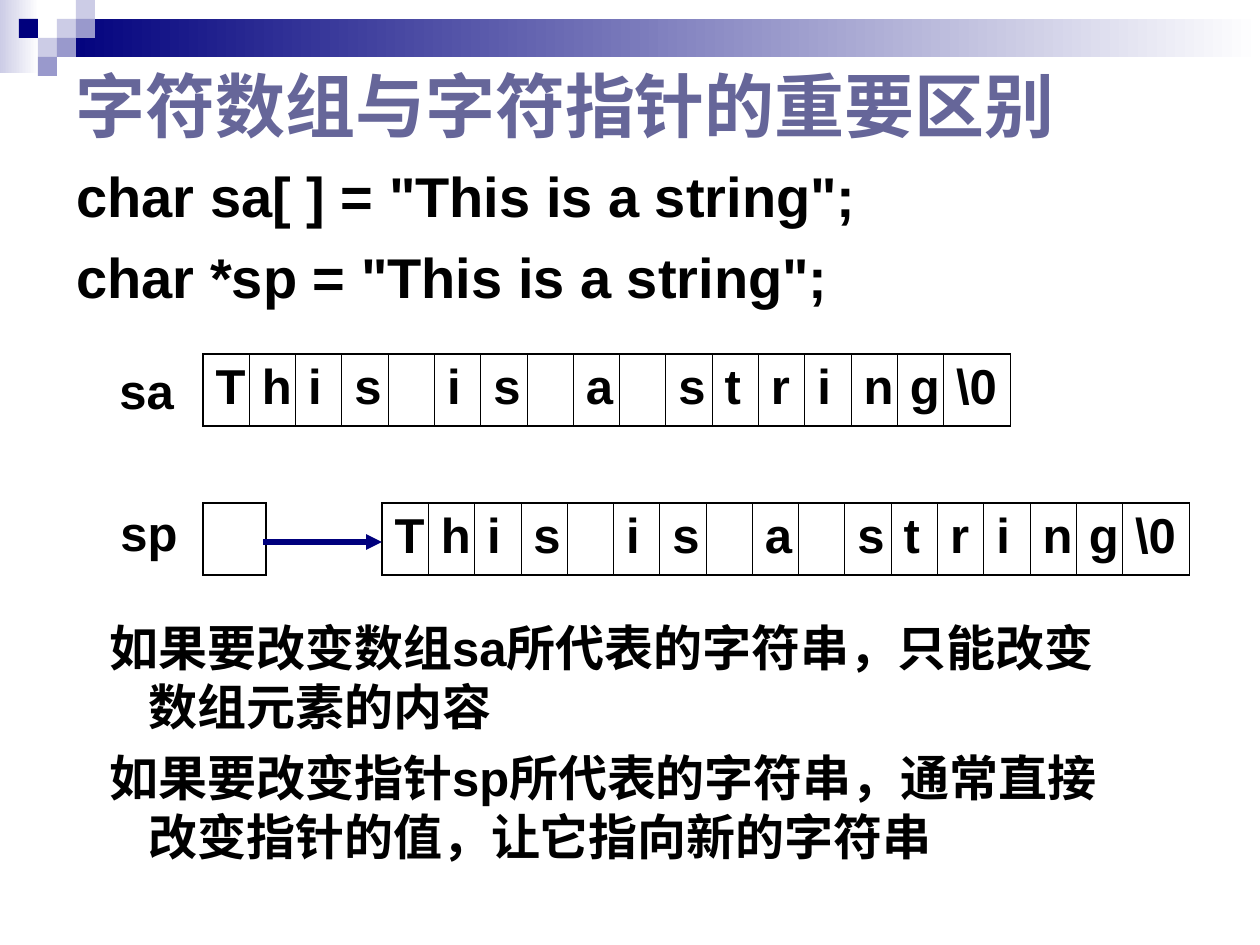
from lxml.etree import SubElement
from pptx import Presentation
from pptx.dml.color import RGBColor
from pptx.enum.shapes import MSO_CONNECTOR as Connector, MSO_SHAPE as Shape
from pptx.enum.text import MSO_ANCHOR as Anchor, MSO_AUTO_SIZE as AutoSize, PP_ALIGN as Align
from pptx.oxml.ns import qn
from pptx.util import Emu, Pt

NAVY = RGBColor(0x00, 0x00, 0x7D)
LILAC = RGBColor(0xCC, 0xCC, 0xE6)
VIOLET = RGBColor(0x99, 0x99, 0xCC)
SLATE = RGBColor(0x66, 0x66, 0x99)
WHITE = RGBColor(0xFF, 0xFF, 0xFF)
BLACK = RGBColor(0x00, 0x00, 0x00)

FONT = "Arial"
PX_PER_INCH = 126
TILE = 19
LETTERS = [*"This is a string", "\\0"]
LETTER_WIDTHS = [741 / 16] * 16 + [67]
CELL_HEIGHT = 72
THIN, THICK = Pt(0.45), Pt(1.08)


def px(length):
    return Emu(round(length * 914400 / PX_PER_INCH))


def place(shape, box):
    shape.left, shape.top, shape.width, shape.height = map(px, box)


def style(paragraph, size, color=BLACK):
    paragraph.font.name = FONT
    paragraph.font.size = Pt(size)
    paragraph.font.bold = True
    paragraph.font.color.rgb = color


def write_lines(frame, lines, size, margin, hanging, gap=0):
    frame.word_wrap = True
    frame.auto_size = AutoSize.NONE
    frame.text = "\n".join(lines)
    for index, paragraph in enumerate(frame.paragraphs):
        properties = paragraph._p.get_or_add_pPr()
        properties.set("marL", str(px(margin)))
        properties.set("indent", str(-px(hanging)))
        paragraph.space_before = Pt(gap if index else 0)
        SubElement(properties, qn("a:buNone"))
        style(paragraph, size)


def add_text(slide, box, lines, size, margin, hanging, gap=0):
    frame = slide.shapes.add_textbox(*map(px, box)).text_frame
    write_lines(frame, lines, size, margin, hanging, gap)


def add_block(slide, box, color, fade=False):
    block = slide.shapes.add_shape(Shape.RECTANGLE, *map(px, box))
    block.shadow.inherit = False
    block.line.fill.background()
    if fade:
        block.fill.gradient()
        block.fill.gradient_angle = 0
        for stop, stop_color in zip(block.fill.gradient_stops, (color, WHITE)):
            stop.color.rgb = stop_color
    else:
        block.fill.solid()
        block.fill.fore_color.rgb = color


def add_banner(slide, box):
    left, top, width, height = box
    add_block(slide, (left, top, 39, height), LILAC, fade=True)
    add_block(slide, (left + 3 * TILE, top + TILE, width - 3 * TILE, 2 * TILE), NAVY, fade=True)
    tiles = [
        (3, 1, LILAC), (4, 0, LILAC), (4, 1, VIOLET), (2, 2, LILAC),
        (1, 1, NAVY), (3, 2, VIOLET), (2, 3, VIOLET),
    ]
    for column, row, color in tiles:
        add_block(slide, (left + column * TILE, top + row * TILE, TILE, TILE), color)


def add_title(slide, box):
    title = slide.shapes.title
    place(title, box)
    title.text_frame.text = "字符数组与字符指针的重要区别"
    title.text_frame.vertical_anchor = Anchor.MIDDLE
    title.text_frame.auto_size = AutoSize.NONE
    heading = title.text_frame.paragraphs[0]
    heading.alignment = Align.LEFT
    style(heading, 40, SLATE)


def border_cell(cell, widths):
    properties = cell._tc.get_or_add_tcPr()
    for side, width in zip("LRTB", widths):
        edge = SubElement(properties, qn(f"a:ln{side}"), w=str(width))
        SubElement(SubElement(edge, qn("a:solidFill")), qn("a:srgbClr"), val=str(BLACK))
    cell.fill.background()


def add_memory(slide, left, top, contents, widths):
    box = (left, top, sum(widths), CELL_HEIGHT)
    table = slide.shapes.add_table(1, len(contents), *map(px, box)).table
    table.first_row = table.horz_banding = False
    last = len(contents) - 1
    for index, (content, width) in enumerate(zip(contents, widths)):
        table.columns[index].width = px(width)
        cell = table.cell(0, index)
        cell.text = content.strip()
        style(cell.text_frame.paragraphs[0], 28)
        left_edge = THIN if index else THICK
        right_edge = THIN if index < last else THICK
        border_cell(cell, (left_edge, right_edge, THICK, THICK))


def add_pointer_arrow(slide, start, end, y):
    arrow = slide.shapes.add_connector(Connector.STRAIGHT, px(start), px(y), px(end), px(y))
    arrow.line.color.rgb = NAVY
    arrow.line.width = Pt(3)
    properties = arrow.element.spPr
    SubElement(properties.find(qn("a:ln")), qn("a:tailEnd"), type="triangle")
    SubElement(properties, qn("a:effectLst"))


def add_array_row(slide, left, top):
    add_text(slide, (left, top, 169, 59), ["sa"], 28, 102, 39)
    add_memory(slide, left + 159, top, LETTERS, LETTER_WIDTHS)


def add_pointer_row(slide, left, top):
    add_text(slide, (left + 1, top - 7, 169, 59), ["sp"], 28, 102, 39)
    add_memory(slide, left + 338, top, LETTERS, LETTER_WIDTHS)
    add_memory(slide, left + 159, top, [""], [63])
    add_pointer_arrow(slide, left + 219, left + 338, top + 39)


def add_conclusions(slide, box):
    body = slide.placeholders[1]
    place(body, box)
    conclusions = [
        "如果要改变数组sa所代表的字符串，只能改变数组元素的内容",
        "如果要改变指针sp所代表的字符串，通常直接改变指针的值，让它指向新的字符串",
    ]
    write_lines(body.text_frame, conclusions, 28, 102, 39, 7)


def main():
    deck = Presentation()
    deck.slide_width, deck.slide_height = px(1260), px(945)
    slide = deck.slides.add_slide(deck.slide_layouts[1])
    add_banner(slide, (0, 0, 1260, 73))
    add_title(slide, (63, 63, 1134, 82))
    declarations = ['char sa[ ] = "This is a string";', 'char *sp = "This is a string";']
    add_text(slide, (64, 155, 873, 159), declarations, 32, 48, 48, 8)
    add_array_row(slide, 44, 354)
    add_pointer_row(slide, 44, 503)
    add_conclusions(slide, (34, 611, 1101, 287))
    deck.save("out.pptx")


if __name__ == "__main__":
    main()
